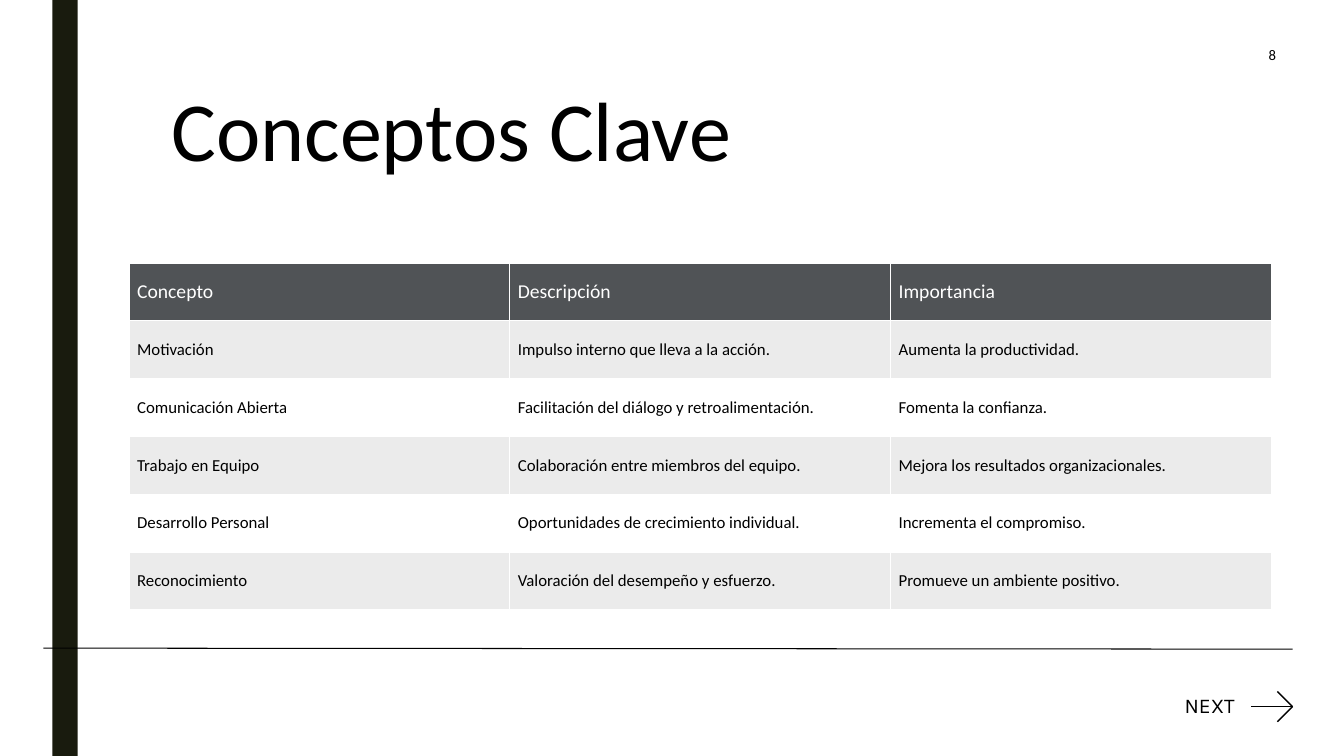
from pptx import Presentation
from pptx.dml.color import RGBColor
from pptx.enum.shapes import MSO_CONNECTOR, MSO_SHAPE
from pptx.enum.text import MSO_ANCHOR, PP_ALIGN
from pptx.oxml import parse_xml
from pptx.oxml.ns import nsdecls, qn
from pptx.util import Inches, Pt
from lxml.etree import SubElement

COLORS = {
    "ink": "000000",
    "paper": "FFFFFF",
    "bar": "191B0E",
    "header": "505356",
    "band": "EBEBEB",
}

CONCEPTS = [
    ("Concepto", "Descripción", "Importancia"),
    ("Motivación", "Impulso interno que lleva a la acción.", "Aumenta la productividad."),
    ("Comunicación Abierta", "Facilitación del diálogo y retroalimentación.", "Fomenta la confianza."),
    ("Trabajo en Equipo", "Colaboración entre miembros del equipo.", "Mejora los resultados organizacionales."),
    ("Desarrollo Personal", "Oportunidades de crecimiento individual.", "Incrementa el compromiso."),
    ("Reconocimiento", "Valoración del desempeño y esfuerzo.", "Promueve un ambiente positivo."),
]


class SlideBuilder:
    font = "Calibri"

    def __init__(self, slide):
        self.slide = slide
        self.shapes = slide.shapes

    def color(self, name):
        return RGBColor.from_string(COLORS[name])

    def background(self, color):
        fill = self.slide.background.fill
        fill.solid()
        fill.fore_color.rgb = self.color(color)

    def set_text(self, frame, text, size, color="ink", font=None, align=PP_ALIGN.LEFT):
        frame.text = text
        paragraph = frame.paragraphs[0]
        paragraph.alignment = align
        for run in paragraph.runs:
            run.font.name = font or self.font
            run.font.size = Pt(size)
            run.font.color.rgb = self.color(color)
        return paragraph

    def place(self, shape, box):
        shape.left, shape.top, shape.width, shape.height = map(Inches, box)

    def title(self, text, box, size):
        heading = self.shapes.title
        self.place(heading, box)
        frame = heading.text_frame
        frame.word_wrap = True
        frame.vertical_anchor = MSO_ANCHOR.TOP
        self.set_text(frame, text, size).line_spacing = 1.0

    def text(self, text, box, size, font=None, align=PP_ALIGN.LEFT,
             anchor=MSO_ANCHOR.TOP, side_inset=0.1):
        frame = self.shapes.add_textbox(*map(Inches, box)).text_frame
        frame.word_wrap = True
        frame.vertical_anchor = anchor
        frame.margin_left = frame.margin_right = Inches(side_inset)
        return self.set_text(frame, text, size, font=font, align=align)

    def bar(self, box, color):
        bar = self.shapes.add_shape(MSO_SHAPE.RECTANGLE, *map(Inches, box))
        bar.shadow.inherit = False
        bar.fill.solid()
        bar.fill.fore_color.rgb = self.color(color)
        bar.line.fill.background()

    def line(self, start, end, width, shapes=None):
        line = (shapes or self.shapes).add_connector(
            MSO_CONNECTOR.STRAIGHT, *map(Inches, start + end))
        line.line.color.rgb = self.color("ink")
        line.line.width = Pt(width)
        SubElement(line._element.spPr, qn("a:effectLst"))

    def arrow(self, tail, tip, head):
        strokes = self.shapes.add_group_shape().shapes
        x, y = tip
        self.line(tail, tip, 1, strokes)
        for side in (-head, head):
            self.line((x - head, y + side), tip, 1, strokes)

    def cell_borders(self, cell):
        properties = cell._tc.get_or_add_tcPr()
        for index, edge in enumerate(("lnL", "lnR", "lnT", "lnB")):
            properties.insert(index, parse_xml(
                f'<a:{edge} {nsdecls("a")} w="12700"><a:solidFill>'
                f'<a:srgbClr val="{COLORS["paper"]}"/></a:solidFill></a:{edge}>'))

    def table(self, rows, box, inset):
        table = self.shapes.add_table(len(rows), len(rows[0]), *map(Inches, box)).table
        for row_index, row in enumerate(rows):
            is_header = row_index == 0
            fill = "header" if is_header else "band" if row_index % 2 else "paper"
            for column_index, text in enumerate(row):
                cell = table.cell(row_index, column_index)
                cell.fill.solid()
                cell.fill.fore_color.rgb = self.color(fill)
                cell.vertical_anchor = MSO_ANCHOR.MIDDLE
                cell.margin_left = cell.margin_right = Inches(inset)
                cell.margin_top = cell.margin_bottom = Inches(inset)
                paragraph = self.set_text(cell.text_frame, text, 14 if is_header else 12,
                                          "paper" if is_header else "ink")
                paragraph.runs[0].font.bold = False
                self.cell_borders(cell)


def main():
    deck = Presentation()
    deck.slide_width, deck.slide_height = Inches(13.33), Inches(7.5)
    page = SlideBuilder(deck.slides.add_slide(deck.slide_layouts[5]))
    page.background("paper")
    page.bar((0.52, 0, 0.25, 7.5), "bar")
    page.arrow((12.41, 7.01), (12.82, 7.01), 0.15)
    next_label = page.text("NEXT", (11.71, 6.85, 0.83, 0.33), 15,
                           font="Karla", side_inset=0.04)
    next_label.line_spacing = 0.9
    page.table(CONCEPTS, (1.28, 2.61, 11.33, 3.44), 0.08)
    page.title("Conceptos Clave", (1.6, 0.72, 11.42, 1.44), 60)
    page.line((0.43, 6.43), (12.82, 6.44), 0.75)
    page.text("8", (12.42, 0.35, 0.4, 0.39), 10.5,
              align=PP_ALIGN.CENTER, anchor=MSO_ANCHOR.MIDDLE)
    deck.save("out.pptx")


if __name__ == "__main__":
    main()
